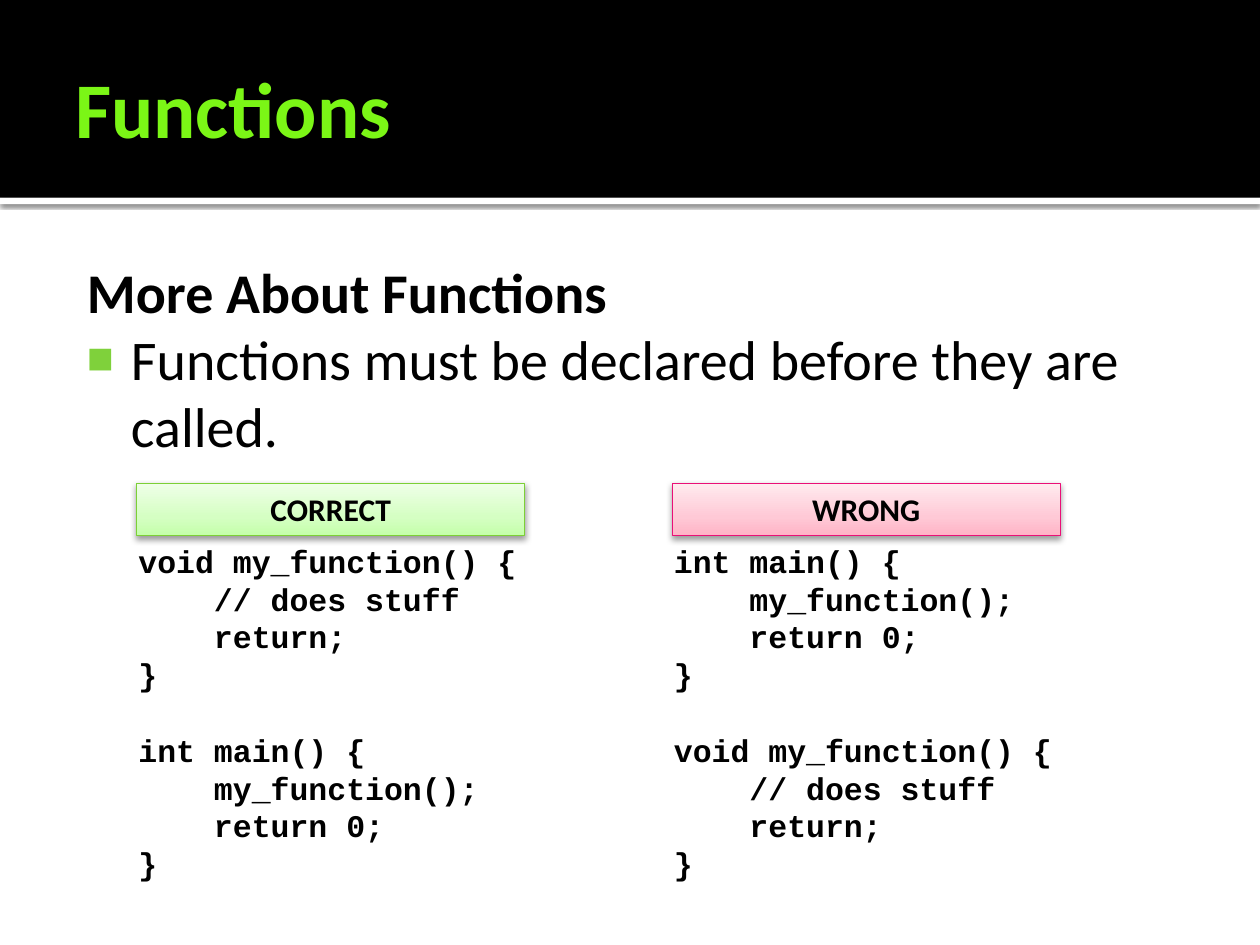
from lxml import etree
from pptx import Presentation, util as u
from pptx.dml.color import RGBColor
from pptx.enum import shapes, text
from pptx.oxml import ns

COLS, ROWS = 120, 90


def color(code):
    """Turn a hex string into a colour."""
    return RGBColor.from_string(code)


def node(parent, tag, **attrs):
    """Add a drawing element below parent."""
    item = etree.SubElement(parent, ns.qn("a:" + tag))
    for key, value in attrs.items():
        item.set(key, str(value))
    return item


class Deck:
    """Holds the style and the current slide."""

    font, mono = "Calibri", "Courier New"
    ink, paper, title, mark = "000000", "FFFFFF", "7BF616", "7FD13B"

    def __init__(self):
        """Open a blank slide."""
        self.prs = Presentation()
        self.prs.slide_width = u.Inches(10)
        self.prs.slide_height = u.Inches(7.5)
        self.slide = self.prs.slides.add_slide(self.prs.slide_layouts[6])

    def area(self, col, row, wide, high):
        """Turn grid cells into lengths."""
        dx, dy = self.prs.slide_width / COLS, self.prs.slide_height / ROWS
        return [u.Emu(round(n)) for n in (col * dx, row * dy, wide * dx, high * dy)]

    def style(self, para, size, font=None, bold=True, ink=None):
        """Format every run of a paragraph."""
        for run in para.runs:
            run.font.size, run.font.bold = u.Pt(size), bold
            run.font.name = font or self.font
            run.font.color.rgb = color(ink or self.ink)

    def bar(self, cells, fill):
        """Draw a plain rectangle."""
        bar = self.slide.shapes.add_shape(shapes.MSO_SHAPE.RECTANGLE, *self.area(*cells))
        bar.shadow.inherit = False
        bar.fill.solid()
        bar.fill.fore_color.rgb = color(fill)
        bar.line.fill.background()
        return bar

    def shade(self, shape, alpha, blur, dist):
        """Drop a soft shadow straight down."""
        effects = shape._element.spPr.find(ns.qn("a:effectLst"))
        outer = node(effects, "outerShdw", blurRad=u.Pt(blur), dist=u.Pt(dist),
                     dir=5400000, algn="ctr", rotWithShape=0)
        node(node(outer, "srgbClr", val=self.ink), "alpha", val=alpha * 1000)

    def blend(self, shape, tones):
        """Fill from the bottom up with three tones."""
        shape.fill.gradient()
        grad = shape._element.spPr.find(ns.qn("a:gradFill"))
        for child in list(grad):
            grad.remove(child)
        stops = node(grad, "gsLst")
        for pos, tone in zip((0, 35, 100), tones):
            node(node(stops, "gs", pos=pos * 1000), "srgbClr", val=tone)
        node(grad, "lin", ang=16200000, scaled=1)

    def label(self, cells, words, tones, edge):
        """Draw a tinted heading box."""
        box = self.bar(cells, self.paper)
        self.blend(box, tones)
        box.line.color.rgb = color(edge)
        box.line.width = u.Pt(0.5)
        self.shade(box, 38, 3.5, 2)
        box.text_frame.text = words
        para = box.text_frame.paragraphs[0]
        para.alignment = text.PP_ALIGN.CENTER
        self.style(para, 18)

    def box(self, cells, lines, inset=(0.1, 0.05, 0.1, 0.05)):
        """Add a wrapping text box, one paragraph a line."""
        frame = self.slide.shapes.add_textbox(*self.area(*cells)).text_frame
        frame.word_wrap = True
        (frame.margin_left, frame.margin_top,
         frame.margin_right, frame.margin_bottom) = map(u.Inches, inset)
        frame.text = "\n".join(lines)
        return frame

    def head(self, cells, words):
        """Add the slide title."""
        frame = self.box(cells, [words], (0.1, 0.05, 0.05, 0.05))
        frame.vertical_anchor = text.MSO_ANCHOR.MIDDLE
        self.style(frame.paragraphs[0], 45, ink=self.title)

    def body(self, cells, topic, point):
        """Add a bold topic with one bullet below."""
        frame = self.box(cells, [topic, point], (0.06, 0.1, 0.1, 0.05))
        for para, bullet in zip(frame.paragraphs, (False, True)):
            self.style(para, 32, bold=not bullet)
            props = para._p.get_or_add_pPr()
            props.set("marL", str(u.Inches(0.48)))
            props.set("indent", str(u.Inches(-0.35)))
            if bullet:
                node(node(props, "buClr"), "srgbClr", val=self.mark)
                node(props, "buSzPct", val=80000)
                node(props, "buFont", typeface="Arial")
                node(props, "buChar", char="■")
            else:
                node(props, "buNone")

    def code(self, cells, blocks):
        """Add code blocks, a line apart, with inner lines indented."""
        pitch = u.Pt(21.6)
        frame = self.box(cells, [line for block in blocks for line in block])
        starts = {len(blocks[0])}
        for num, para in enumerate(frame.paragraphs):
            self.style(para, 18, self.mono)
            para.line_spacing = pitch
            if num in starts:
                para.space_before = pitch
            if para.text.endswith(";") or para.text.startswith("//"):
                para._p.get_or_add_pPr().set("marL", str(u.Inches(0.6)))


deck = Deck()
band = 18.84
rule = deck.bar((0, band, COLS, 0.6), deck.paper)
deck.shade(rule, 60, 2.5, 0.8)
deck.bar((0, 0, COLS, band), deck.ink)
deck.head((6, 2, 108, 16.4), "Functions")
deck.body((6, 23.3, 108, 60.7), "More About Functions",
          "Functions must be declared before they are called.")

helper = ["void my_function() {", "// does stuff", "return;", "}"]
main = ["int main() {", "my_function();", "return 0;", "}"]
cases = [
    ("CORRECT", (helper, main), ("C4FFAA", "D5FFC3", "EFFFE8"), "7CD036"),
    ("WRONG", (main, helper), ("FFB3C6", "FFC9D6", "FFEBEF"), "EA0F77"),
]
for num, (name, blocks, tones, edge) in enumerate(cases):
    left = 12 + 51 * num
    deck.code((left, 51, 47, 34), blocks)
    deck.label((left + 1, 46, 37, 5), name, tones, edge)

deck.prs.save("out.pptx")
